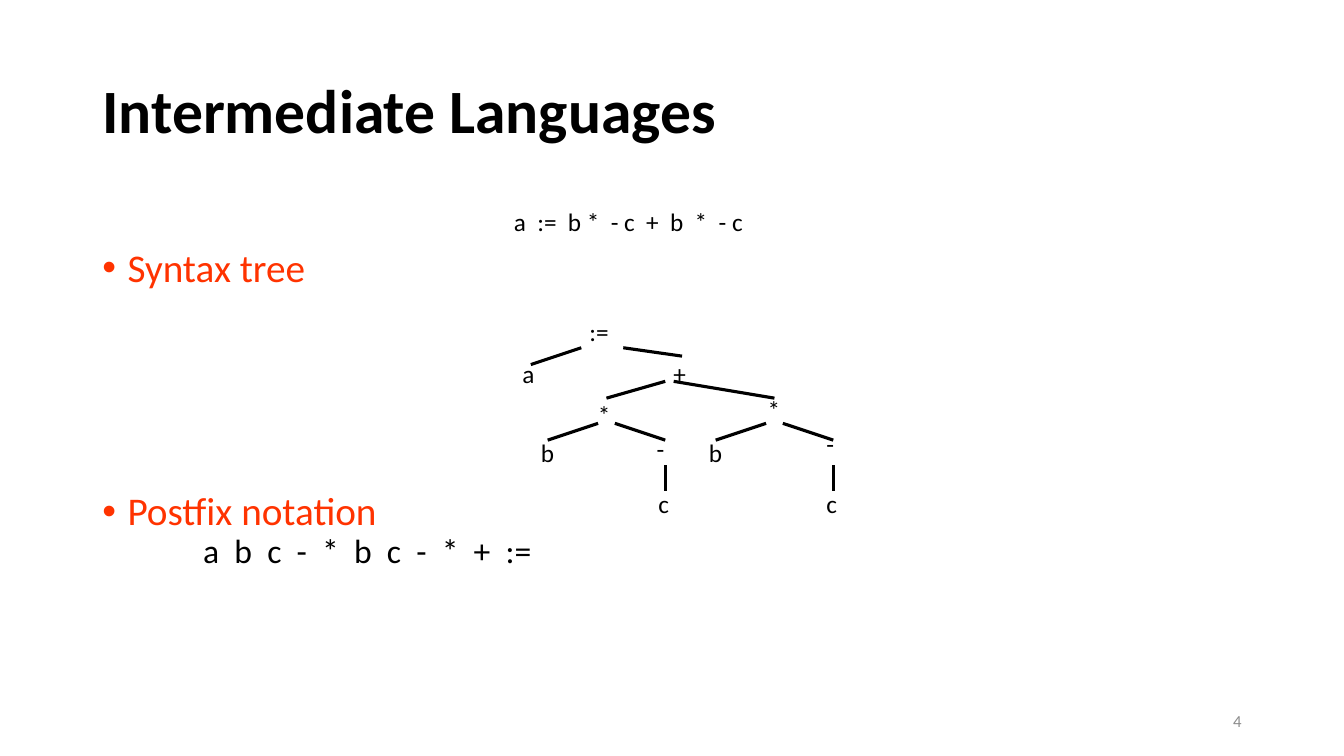
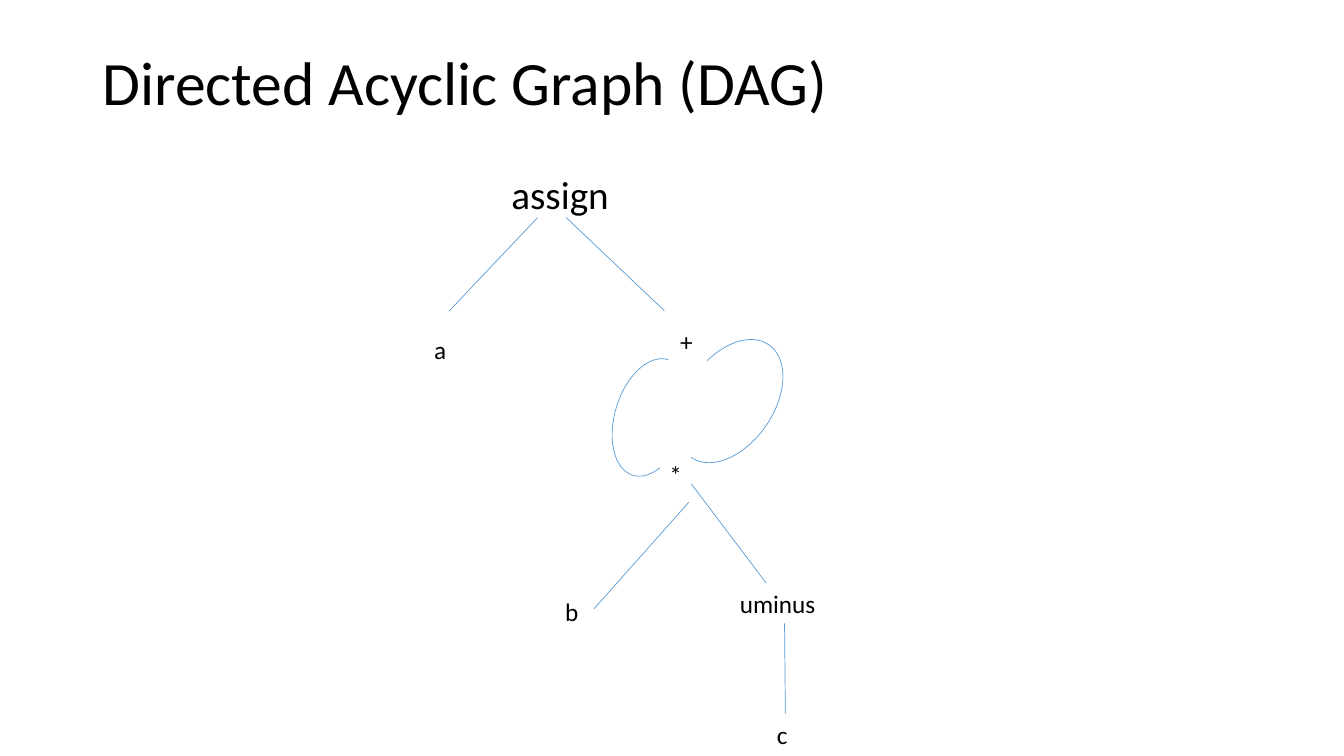
from dataclasses import dataclass, replace

from lxml.etree import SubElement
from pptx import Presentation
from pptx.dml.color import RGBColor
from pptx.enum.shapes import MSO_CONNECTOR, MSO_SHAPE
from pptx.enum.text import MSO_ANCHOR, PP_ALIGN
from pptx.oxml.ns import qn
from pptx.util import Inches, Length, Pt

# Shared style: the slide is a grid of 160 columns by 90 rows
COLS, ROWS = 160, 90
FONT = "Calibri"
COLORS = {"ink": "000000", "point": "FF3300", "edge": "5B9BD5", "number": "8C8C8C"}


@dataclass(frozen=True)
class Label:
    text: str
    x: float
    y: float
    w: float
    h: float = 4.8
    size: int = 18
    color: str = "ink"
    align: PP_ALIGN = PP_ALIGN.LEFT
    space: float = 1.0


@dataclass(frozen=True)
class Edge:
    x1: float
    y1: float
    x2: float
    y2: float


@dataclass(frozen=True)
class Arc:
    x: float
    y: float
    w: float
    h: float
    turn: float
    end: float


@dataclass(frozen=True)
class Point:
    text: str
    size: int
    color: str
    margin: float
    before: float = 0
    bullet: bool = False


deck = Presentation()
deck.slide_width, deck.slide_height = Inches(13.33), Inches(7.5)


def col(n: float) -> Length:
    return Length(round(deck.slide_width * n / COLS))


def row(n: float) -> Length:
    return Length(round(deck.slide_height * n / ROWS))


def rgb(name: str) -> RGBColor:
    return RGBColor.from_string(COLORS[name])


def style(para, size: int, color: str, space: float = 1.0, bold: bool = False) -> None:
    para.line_spacing = space
    font = para.font
    font.name, font.size, font.bold = FONT, Pt(size), bold
    font.color.rgb = rgb(color)


def add_slide(title: str, height: float, bold: bool = False):
    slide = deck.slides.add_slide(deck.slide_layouts[5])
    head = slide.shapes.title
    head.left, head.top, head.width, head.height = col(11), row(4.8), col(138), row(height)
    frame = head.text_frame
    frame.text = title
    frame.vertical_anchor = MSO_ANCHOR.MIDDLE
    para = frame.paragraphs[0]
    para.alignment = PP_ALIGN.LEFT
    style(para, 44, "ink", 0.9, bold)
    return slide


def add_label(shapes, item: Label) -> None:
    box = shapes.add_textbox(col(item.x), row(item.y), col(item.w), row(item.h))
    frame = box.text_frame
    frame.text = item.text
    frame.word_wrap = False
    frame.vertical_anchor = MSO_ANCHOR.MIDDLE
    para = frame.paragraphs[0]
    para.alignment = item.align
    style(para, item.size, item.color, item.space)


def add_edge(shapes, item: Edge, color: str, width: float) -> None:
    line = shapes.add_connector(
        MSO_CONNECTOR.STRAIGHT, col(item.x1), row(item.y1), col(item.x2), row(item.y2))
    line.line.color.rgb = rgb(color)
    line.line.width = Pt(width)
    SubElement(line.element.spPr, qn("a:effectLst"))


def add_arc(shapes, item: Arc) -> None:
    arc = shapes.add_shape(MSO_SHAPE.ARC, col(item.x), row(item.y), col(item.w), row(item.h))
    arc.adjustments[0], arc.adjustments[1] = 162, item.end
    arc.rotation = item.turn
    arc.element.spPr.xfrm.set("flipH", "1")
    arc.shadow.inherit = False
    arc.fill.background()
    arc.line.color.rgb = rgb("edge")
    arc.line.width = Pt(0.5)


def add_points(shapes, points: list[Point]) -> None:
    box = shapes.add_textbox(col(11), row(29), col(143), row(55))
    frame = box.text_frame
    frame.word_wrap = True
    for i, item in enumerate(points):
        para = frame.add_paragraph() if i else frame.paragraphs[0]
        para.text = item.text
        props = para._p.get_or_add_pPr()
        props.set("marL", str(Inches(item.margin)))
        if item.bullet:
            props.set("indent", str(-Inches(item.margin)))
            SubElement(props, qn("a:buFont"), typeface="Arial")
            SubElement(props, qn("a:buChar"), char="\u2022")
        para.space_before = Pt(item.before)
        style(para, item.size, item.color, 0.9)


def move(item: Label | Edge, dx: float, dy: float) -> Label | Edge:
    if isinstance(item, Label):
        return replace(item, x=item.x + dx, y=item.y + dy)
    return Edge(item.x1 + dx, item.y1 + dy, item.x2 + dx, item.y2 + dy)


# Slide 1: syntax tree and postfix notation
slide = add_slide("Intermediate Languages", 17.4, bold=True)
add_label(slide.shapes, Label("4", 113, 83.4, 36, size=12, color="number", align=PP_ALIGN.RIGHT))
add_points(slide.shapes, [
    Point("Syntax tree", 28, "point", 0.25, bullet=True),
    Point("Postfix notation", 28, "point", 0.25, before=143.5, bullet=True),
    Point("a  b  c  -  *  b  c  -  *  +  :=", 24, "ink", 1),
])
add_label(slide.shapes, Label("a  :=  b *  - c  +  b  *  - c", 60, 24, 30.1))

# The tree's parts count from its origin; the product branch occurs twice
ORIGIN = (63.2, 41.4)
STEP = 20
top = [
    Label(":=", 5.8, -4.4, 4.8), Label("a", -2.2, 0.6, 3.8), Label("+", 15.8, 0.6, 4),
    Edge(6, 0, 0, 2), Edge(11, 0, 18, 1), Edge(16, 4, 9, 6), Edge(17, 4, 29, 6),
]
signs = [Label("*", 6.8, 5.6, 4), Label("-", 13.8, 9.6, 3.4)]
branch = [
    Label("b", 0, 10.1, 4.1), Label("c", 14, 16.1, 3.7),
    Edge(8, 9, 2, 11), Edge(10, 9, 16, 11), Edge(16, 14, 16, 17),
]
parts = top + signs + branch
parts += [move(p, STEP + 0.2, -0.6) for p in signs] + [move(p, STEP, 0) for p in branch]
tree = slide.shapes.add_group_shape().shapes
for part in parts:
    placed = move(part, *ORIGIN)
    if isinstance(placed, Label):
        add_label(tree, placed)
    else:
        add_edge(tree, placed, "ink", 2.25)

# Slide 2: the same expression as a graph
slide = add_slide("Directed Acyclic Graph (DAG)", 10.8)
for label in [
    Label("assign", 59.7, 20.2, 14, 6.4, size=28, space=0.9),
    Label("a", 50.5, 39.2, 3.8), Label("+", 79.8, 38.3, 4), Label("*", 78.5, 54.1, 4),
    Label("b", 66.1, 70.4, 4.1), Label("uminus", 86.9, 69.4, 11.4), Label("c", 91.3, 85, 3.7),
]:
    add_label(slide.shapes, label)
for edge in [
    Edge(64, 25.9, 53.5, 37), Edge(67.4, 25.9, 79.1, 37), Edge(82.3, 57.6, 91.2, 69.4),
    Edge(82, 59.8, 70.7, 72.5), Edge(93.4, 74.2, 93.5, 85),
]:
    add_edge(slide.shapes, edge, "edge", 0.5)
for arc in [Arc(73.2, 42.5, 8.5, 14.4, 17, 70.39), Arc(81.7, 39.6, 10.4, 16.3, 214.6, 92.44)]:
    add_arc(slide.shapes, arc)

deck.save("out.pptx")
